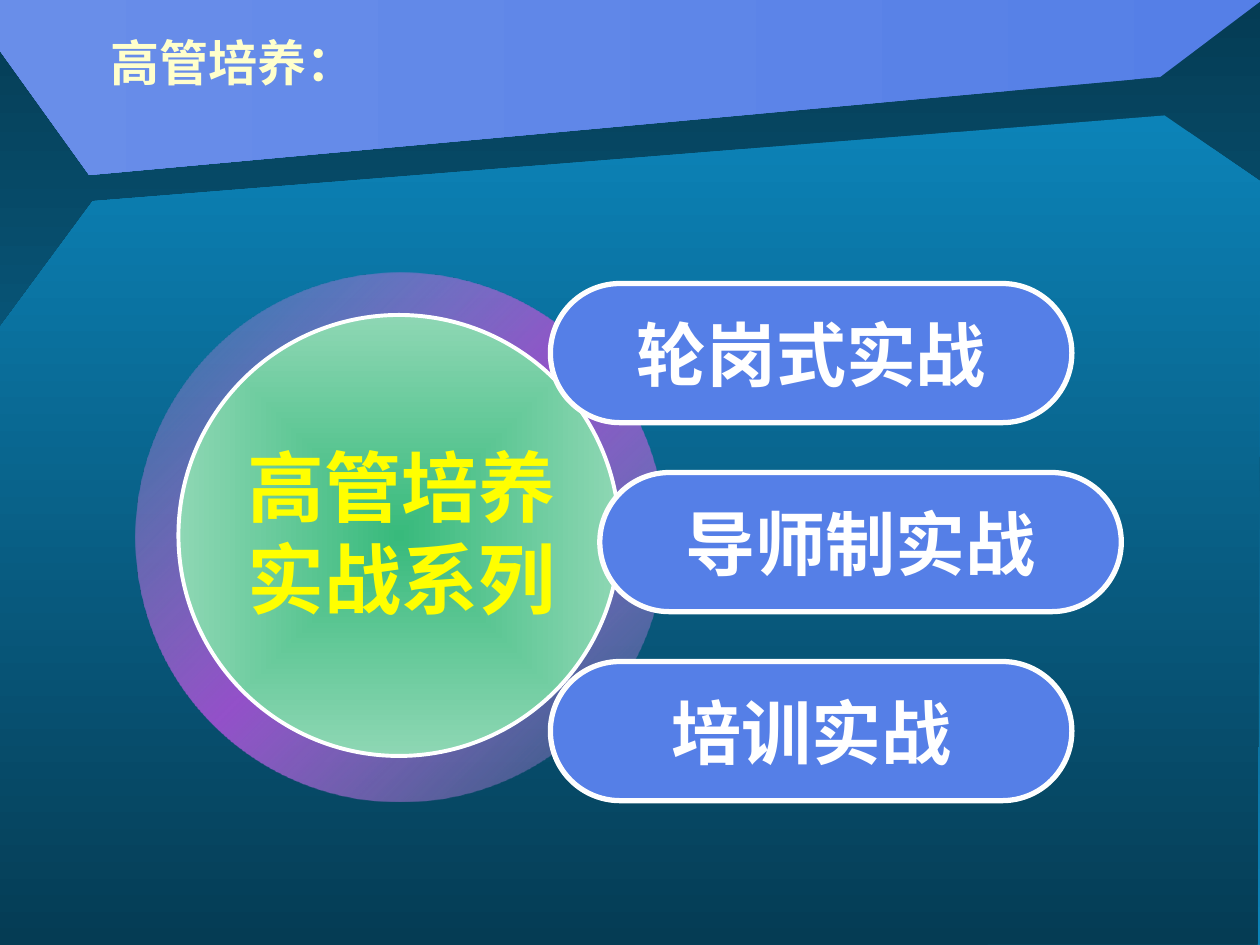
from dataclasses import dataclass
from lxml import etree
from pptx import Presentation
from pptx import util as u
from pptx.dml.color import RGBColor
from pptx.enum import lang, shapes, text
from pptx.oxml.ns import qn


@dataclass(frozen=True)
class Theme:
    font: str = "Arial"
    deep: str = "053C54"
    sea: str = "0C83B8"
    blue: str = "557FE7"
    pale: str = "698EE9"
    violet: str = "9351C9"
    lilac: str = "BC94DD"
    green: str = "38BA7C"
    mint: str = "8ED7B4"
    cream: str = "FFFFCC"
    yellow: str = "FFFF00"
    white: str = "FFFFFF"
    rim: str = "FEFEFE"
    black: str = "000000"
    head: int = 28
    item: int = 40
    core: int = 44


def rgb(code):
    return RGBColor.from_string(code)


def sub(node, tag, **attrs):
    return etree.SubElement(node, qn(tag), {k: str(v) for k, v in attrs.items()})


def shade(fill, root, stops, angle=None):
    """Gradient from (percent, colour, alpha) stops; no angle means from the centre."""
    fill.gradient()
    grad = root.find(".//" + qn("a:gradFill"))
    for child in list(grad):
        grad.remove(child)
    group = sub(grad, "a:gsLst")
    for pos, code, alpha in stops:
        color = sub(sub(group, "a:gs", pos=pos * 1000), "a:srgbClr", val=code)
        if alpha < 100:
            sub(color, "a:alpha", val=alpha * 1000)
    if angle is None:
        way = sub(grad, "a:path", path="rect")
        sub(way, "a:fillToRect", l=50000, t=50000, r=50000, b=50000)
    else:
        sub(grad, "a:lin", ang=angle * 60000, scaled=0)


def write(frame, words, font, size, color, align=text.PP_ALIGN.CENTER,
          anchor=text.MSO_ANCHOR.MIDDLE, wrap=True, shadow=None):
    frame.word_wrap = wrap
    frame.vertical_anchor = anchor
    for i, line in enumerate(words.split("\n")):
        para = frame.add_paragraph() if i else frame.paragraphs[0]
        para.alignment = align
        run = para.add_run()
        run.text = line
        run.font.size, run.font.bold = u.Pt(size), True
        run.font.color.rgb = rgb(color)
        run.font.name = font
        run.font.language_id = lang.MSO_LANGUAGE_ID.SIMPLIFIED_CHINESE
        if shadow:
            props = run.font.fill._xPr
            glow = sub(props, "a:effectLst")
            drop = sub(glow, "a:outerShdw", dist=25400, dir=2700000)
            sub(drop, "a:srgbClr", val=shadow)
            props.find(qn("a:solidFill")).addnext(glow)


class Deck:
    def __init__(self, theme):
        self.theme = theme
        self.file = Presentation()
        self.file.slide_width, self.file.slide_height = u.Pt(720), u.Pt(540)
        self.slide = self.file.slides.add_slide(self.file.slide_layouts[5])

    def back(self, stops, angle):
        shade(self.slide.background.fill, self.slide._element, stops, angle)

    def title(self, words, box):
        item = self.slide.shapes.title
        item.left, item.top, item.width, item.height = map(u.Pt, box)
        write(item.text_frame, words, self.theme.font, self.theme.head,
              self.theme.cream, align=text.PP_ALIGN.LEFT)
        # Bring the title in front of the panels
        self.slide.shapes._spTree.append(item._element)

    def panel(self, points, stops, angle):
        start, *rest = [(u.Pt(x), u.Pt(y)) for x, y in points]
        pen = self.slide.shapes.build_freeform(*start, scale=1.0)
        pen.add_line_segments(rest, close=True)
        item = pen.convert_to_shape()
        item.shadow.inherit = False
        item.line.fill.background()
        shade(item.fill, item._element, stops, angle)

    def shape(self, kind, box, color=None, stops=None, angle=None,
              line=None, width=0, adjust=None):
        item = self.slide.shapes.add_shape(kind, *map(u.Pt, box))
        item.shadow.inherit = False
        if adjust is not None:
            item.adjustments[0] = adjust
        if stops:
            shade(item.fill, item._element, stops, angle)
        else:
            item.fill.solid()
            item.fill.fore_color.rgb = rgb(color)
        if line:
            item.line.color.rgb = rgb(line)
            item.line.width = u.Pt(width)
        else:
            item.line.fill.background()
        return item

    def pill(self, words, box):
        t = self.theme
        item = self.shape(shapes.MSO_SHAPE.ROUNDED_RECTANGLE, box, color=t.blue,
                          line=t.rim, width=3, adjust=0.5)
        write(item.text_frame, words, t.font, t.item, t.white, wrap=False)

    def label(self, words, box):
        t = self.theme
        item = self.slide.shapes.add_textbox(*map(u.Pt, box))
        write(item.text_frame, words, t.font, t.core, t.yellow,
              anchor=text.MSO_ANCHOR.TOP, shadow=t.black)


def main():
    t = Theme()
    deck = Deck(t)

    # Backdrop and title band
    deck.back([(0, t.deep, 100), (100, t.sea, 100)], 90)
    deck.panel([(53, 115), (665.5, 66), (720, 103.5), (718.5, 539.5),
                (0, 540), (0, 187)],
               [(0, t.sea, 100), (100, t.deep, 100)], 90)
    deck.panel([(0, 0), (0, 29), (51, 100), (663, 44), (720, 1), (720, 0)],
               [(0, t.blue, 100), (100, t.pale, 100)], 180)
    deck.title("高管培养：", (56, 5, 610, 60.5))

    # Ring and core disc
    deck.shape(shapes.MSO_SHAPE.DONUT, (77.75, 156, 302, 302), adjust=0.089,
               stops=[(0, t.lilac, 12), (50, t.violet, 100), (100, t.lilac, 12)],
               angle=225)
    deck.shape(shapes.MSO_SHAPE.OVAL, (102, 180, 252, 252),
               stops=[(0, t.green, 100), (100, t.mint, 100)],
               line=t.white, width=2.25)

    # Three methods, the middle one set further right
    names = ["轮岗式实战", "导师制实战", "培训实战"]
    for i, name in enumerate(names):
        deck.pill(name, (314.5 + 28.25 * (i % 2), 162 + 108 * i, 298, 79.5))

    # Core label
    deck.label("高管培养\n实战系列", (116, 247.5, 227, 113))
    deck.file.save("out.pptx")


if __name__ == "__main__":
    main()
